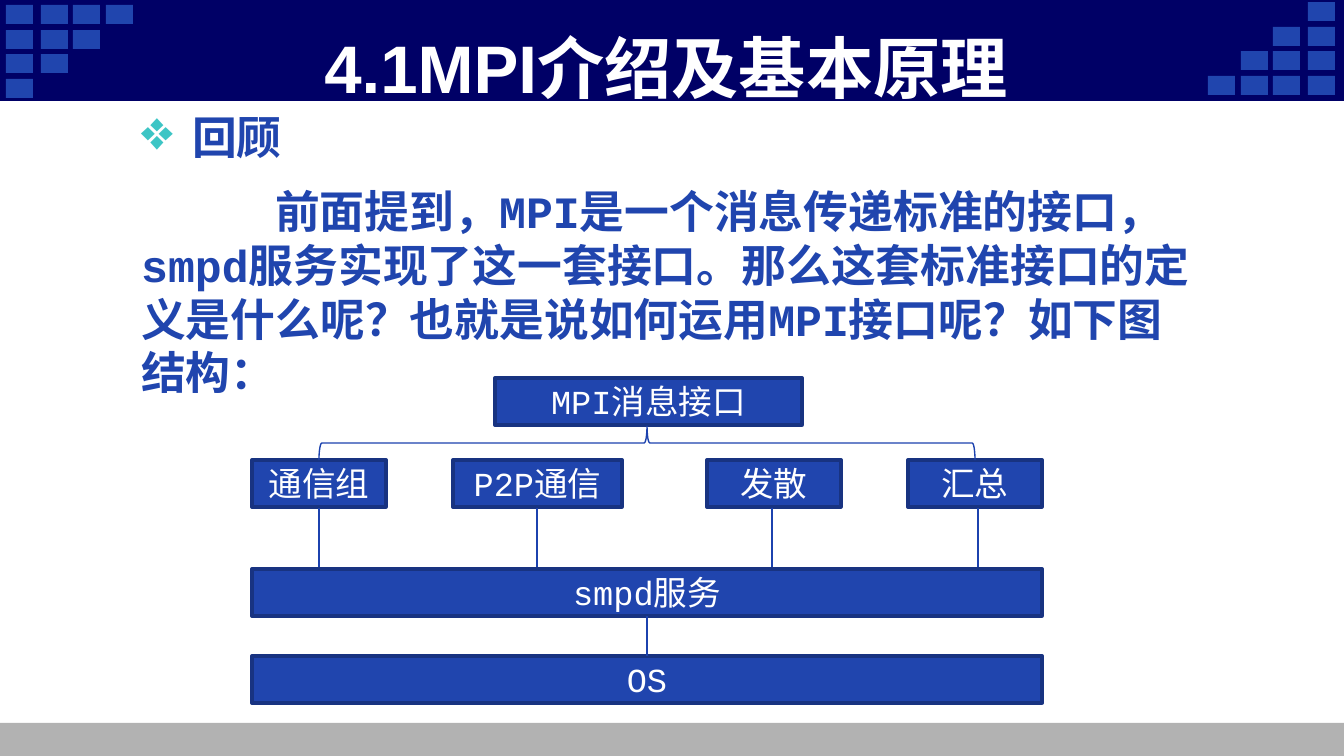
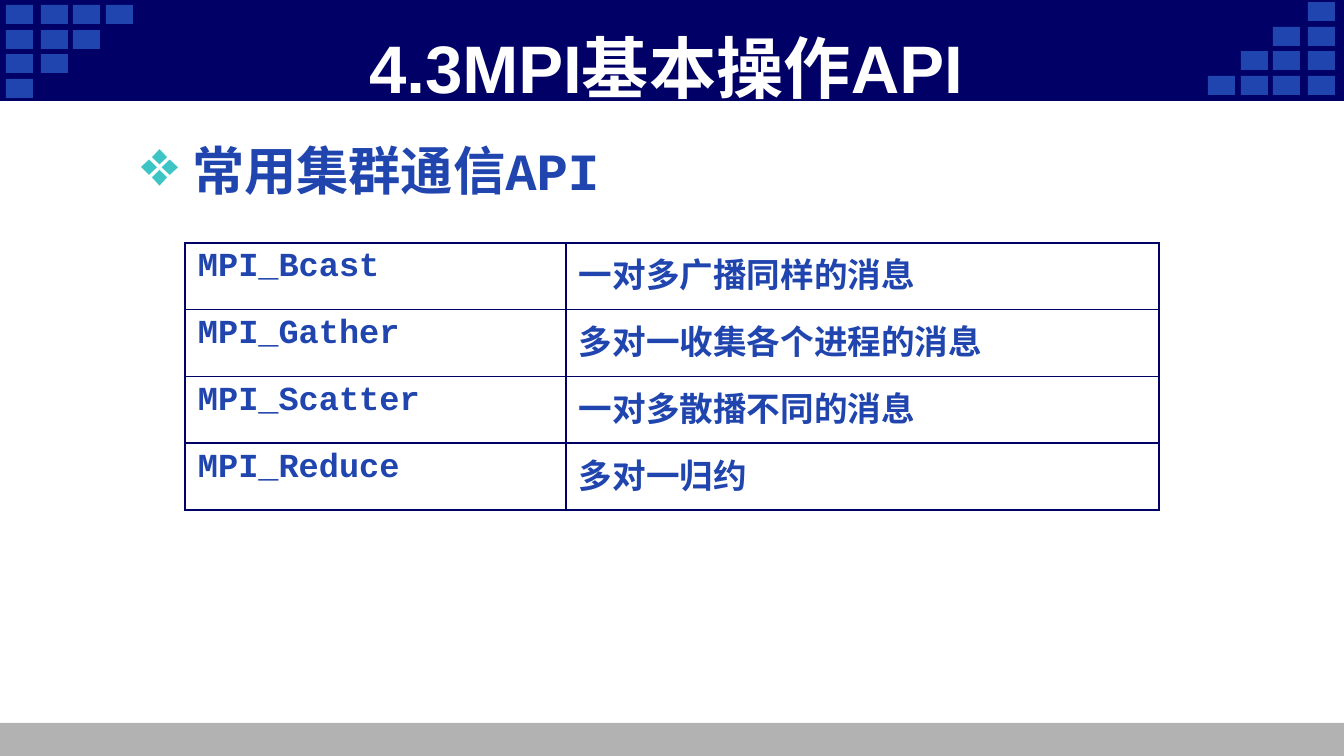
import lxml.etree
import pptx
import pptx.dml.color
import pptx.enum.shapes
import pptx.enum.text
import pptx.oxml.ns
import pptx.util

RGBColor = pptx.dml.color.RGBColor
SHAPE = pptx.enum.shapes.MSO_SHAPE
ALIGN = pptx.enum.text.PP_ALIGN
ANCHOR = pptx.enum.text.MSO_ANCHOR
qn = pptx.oxml.ns.qn

WHITE = RGBColor(0xFF, 0xFF, 0xFF)
NAVY = RGBColor(0x00, 0x00, 0x66)
BLUE = RGBColor(0x20, 0x45, 0xAE)
EDGE = RGBColor(0x18, 0x33, 0x81)
LINK = RGBColor(0x1C, 0x42, 0xAE)
TEAL = RGBColor(0x3D, 0xC5, 0xC5)
GREY = RGBColor(0xB2, 0xB2, 0xB2)

HEADING_FONT = "Arial"
BODY_FONT = "Courier New"
EMU_PER_PX = 914400 / 134.4
WIDTH, HEIGHT = 1344, 756


def px(length):
    return pptx.util.Emu(round(length * EMU_PER_PX))


def add_node(parent, tag, **attributes):
    return lxml.etree.SubElement(parent, qn(tag), **attributes)


class SlideBuilder:
    """Holds the deck style and the slide being drawn."""

    def __init__(self):
        self.deck = pptx.Presentation()
        self.deck.slide_width, self.deck.slide_height = px(WIDTH), px(HEIGHT)
        self.page = None

    def new_page(self, title):
        self.page = self.deck.slides.add_slide(self.deck.slide_layouts[6])
        self.page.background.fill.solid()
        self.page.background.fill.fore_color.rgb = WHITE
        self.shape(0, 723, WIDTH, 33, GREY)
        self.shape(0, 0, WIDTH, 100, NAVY, NAVY)
        self.corner_squares()
        frame = self.text_box(123, 36, 1086, 62)
        frame.vertical_anchor = ANCHOR.MIDDLE
        para = frame.paragraphs[0]
        para.alignment = ALIGN.CENTER
        self.span(para, title, 36, WHITE, True, HEADING_FONT)

    def corner_squares(self):
        """Two staircases of squares, one the half turn of the other."""
        for row, down in enumerate((0, 25, 49, 74)):
            for across in (0, 35, 67, 100)[:4 - row]:
                self.shape(6 + across, 5 + down, 27, 19, BLUE)
                self.shape(1308 - across, 76 - down, 27, 19, BLUE)

    def shape(self, left, top, width, height, fill=None, line=None,
              weight=0.75, kind=SHAPE.RECTANGLE):
        shape = self.page.shapes.add_shape(
            kind, px(left), px(top), px(width), px(height))
        shape.shadow.inherit = False
        if fill is None:
            shape.fill.background()
        else:
            shape.fill.solid()
            shape.fill.fore_color.rgb = fill
        if line is None:
            shape.line.fill.background()
        else:
            shape.line.color.rgb = line
            shape.line.width = pptx.util.Pt(weight)
        return shape

    def label_box(self, left, top, width, text):
        box = self.shape(left, top, width, 47, BLUE, EDGE, 2)
        box.text_frame.vertical_anchor = ANCHOR.MIDDLE
        para = box.text_frame.paragraphs[0]
        para.alignment = ALIGN.CENTER
        self.span(para, text, 18, WHITE)

    def text_box(self, left, top, width, height):
        box = self.page.shapes.add_textbox(
            px(left), px(top), px(width), px(height))
        box.text_frame.word_wrap = True
        return box.text_frame

    def span(self, para, text, size, color=BLUE, bold=False, font=BODY_FONT):
        span = para.add_run()
        span.text = text
        span.font.name = font
        span.font.size = pptx.util.Pt(size)
        span.font.bold = bold
        span.font.color.rgb = color

    def bullet(self, para, text, size):
        self.span(para, text, size, bold=True)
        props = para._p.get_or_add_pPr()
        self.indent(para, 51, -51)
        color = add_node(props, "a:buClr")
        add_node(color, "a:srgbClr", val=str(TEAL))
        add_node(props, "a:buSzPct", val="125000")
        add_node(props, "a:buChar", char="❖")

    def indent(self, para, margin, first):
        props = para._p.get_or_add_pPr()
        props.set("marL", str(px(margin)))
        props.set("indent", str(px(first)))

    def vertical_line(self, x, top, bottom):
        line = self.page.shapes.add_connector(
            pptx.enum.shapes.MSO_CONNECTOR.STRAIGHT,
            px(x), px(top), px(x), px(bottom))
        line.line.color.rgb = LINK
        line.line.width = pptx.util.Pt(0.75)
        add_node(line._element.spPr, "a:effectLst")

    def table(self, left, top, widths, height, rows):
        table = self.page.shapes.add_table(
            len(rows), len(widths), px(left), px(top),
            px(sum(widths)), px(height)).table
        table.first_row = table.horz_banding = False
        for column, width in zip(table.columns, widths):
            column.width = px(width)
        for row, texts in zip(table.rows, rows):
            row.height = px(height / len(rows))
            for cell, text in zip(row.cells, texts):
                self.cell(cell, text)

    def cell(self, cell, text):
        cell.margin_left = cell.margin_right = px(13)
        cell.margin_top = cell.margin_bottom = px(6)
        self.span(cell.text_frame.paragraphs[0], text, 18, bold=True)
        props = cell._tc.get_or_add_tcPr()
        for side in ("a:lnL", "a:lnR", "a:lnT", "a:lnB"):
            border = add_node(props, side, w=str(pptx.util.Pt(1)))
            fill = add_node(border, "a:solidFill")
            add_node(fill, "a:srgbClr", val=str(NAVY))
        cell.fill.background()


def build_structure(builder):
    builder.new_page("4.1MPI介绍及基本原理")

    # Review text
    frame = builder.text_box(128, 103, 1088, 603)
    builder.bullet(frame.paragraphs[0], "回顾", 24)
    para = frame.add_paragraph()
    para.space_before = pptx.util.Pt(11)
    builder.indent(para, 0, 134)
    builder.span(para, "前面提到，MPI是一个消息传递标准的接口，smpd服务实现了"
                 "这一套接口。那么这套标准接口的定义是什么呢？也就是说"
                 "如何运用MPI接口呢？如下图结构：", 24, bold=True)

    # Layers of the interface
    builder.label_box(495, 378, 307, "MPI消息接口")
    for left, width, text, stem in ((252, 134, "通信组", 319),
                                    (453, 169, "P2P通信", 537),
                                    (707, 134, "发散", 772),
                                    (908, 134, "汇总", 978)):
        builder.label_box(left, 460, width, text)
        builder.vertical_line(stem, 508, 568)
    builder.label_box(252, 569, 790, "smpd服务")
    builder.label_box(252, 656, 790, "OS")
    builder.vertical_line(647, 616, 656)
    brace = builder.shape(630, 115, 34, 656, line=LINK, kind=SHAPE.LEFT_BRACE)
    brace.rotation = 90


def build_operations(builder):
    builder.new_page("4.3MPI基本操作API")
    heading = builder.text_box(128, 132, 1088, 543).paragraphs[0]
    builder.bullet(heading, "常用集群通信API", 28)

    # Collective calls
    builder.table(185, 243, (381, 593), 267, (
        ("MPI_Bcast", "一对多广播同样的消息"),
        ("MPI_Gather", "多对一收集各个进程的消息"),
        ("MPI_Scatter", "一对多散播不同的消息"),
        ("MPI_Reduce", "多对一归约")))


def main():
    builder = SlideBuilder()
    build_structure(builder)
    build_operations(builder)
    builder.deck.save("out.pptx")


if __name__ == "__main__":
    main()
